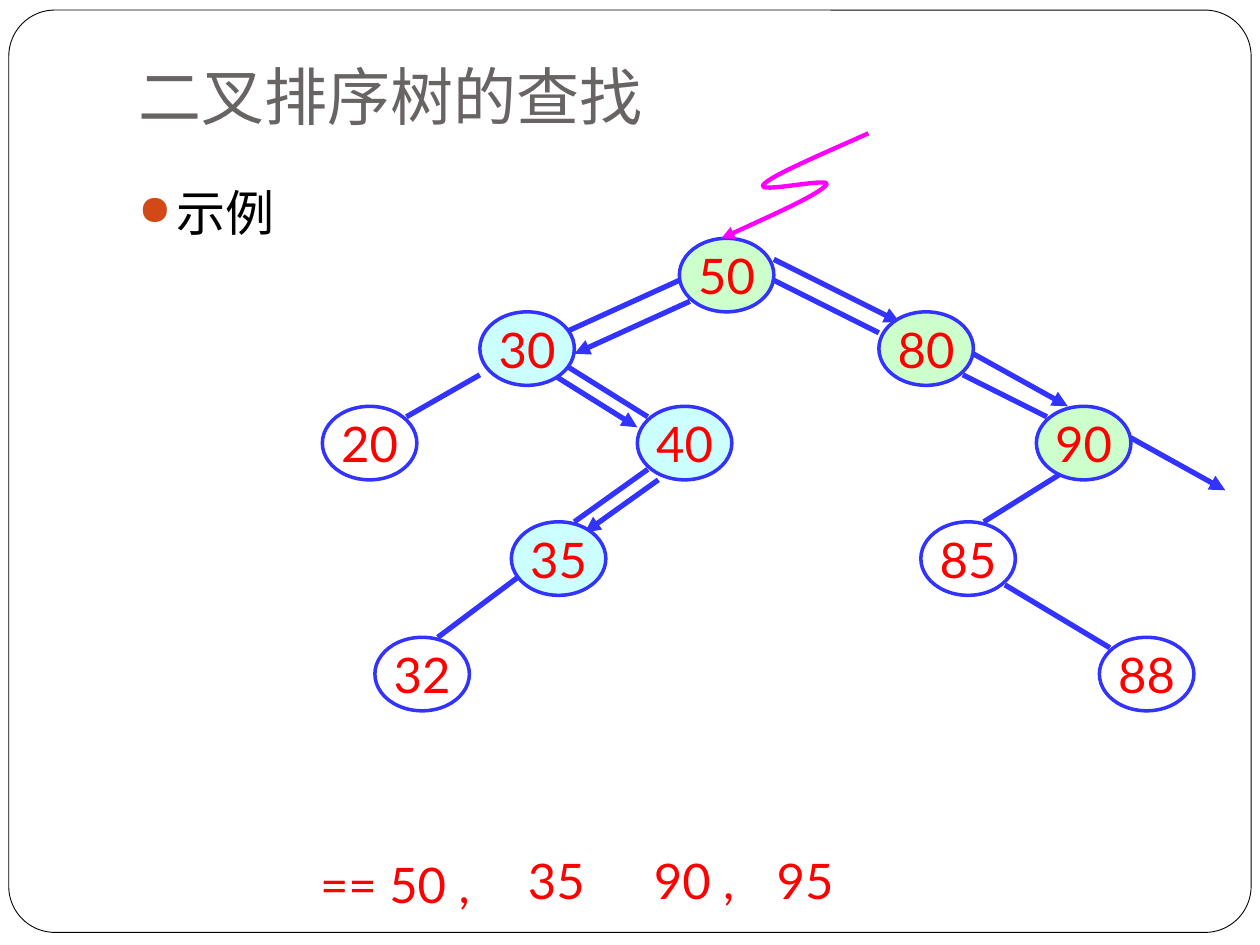
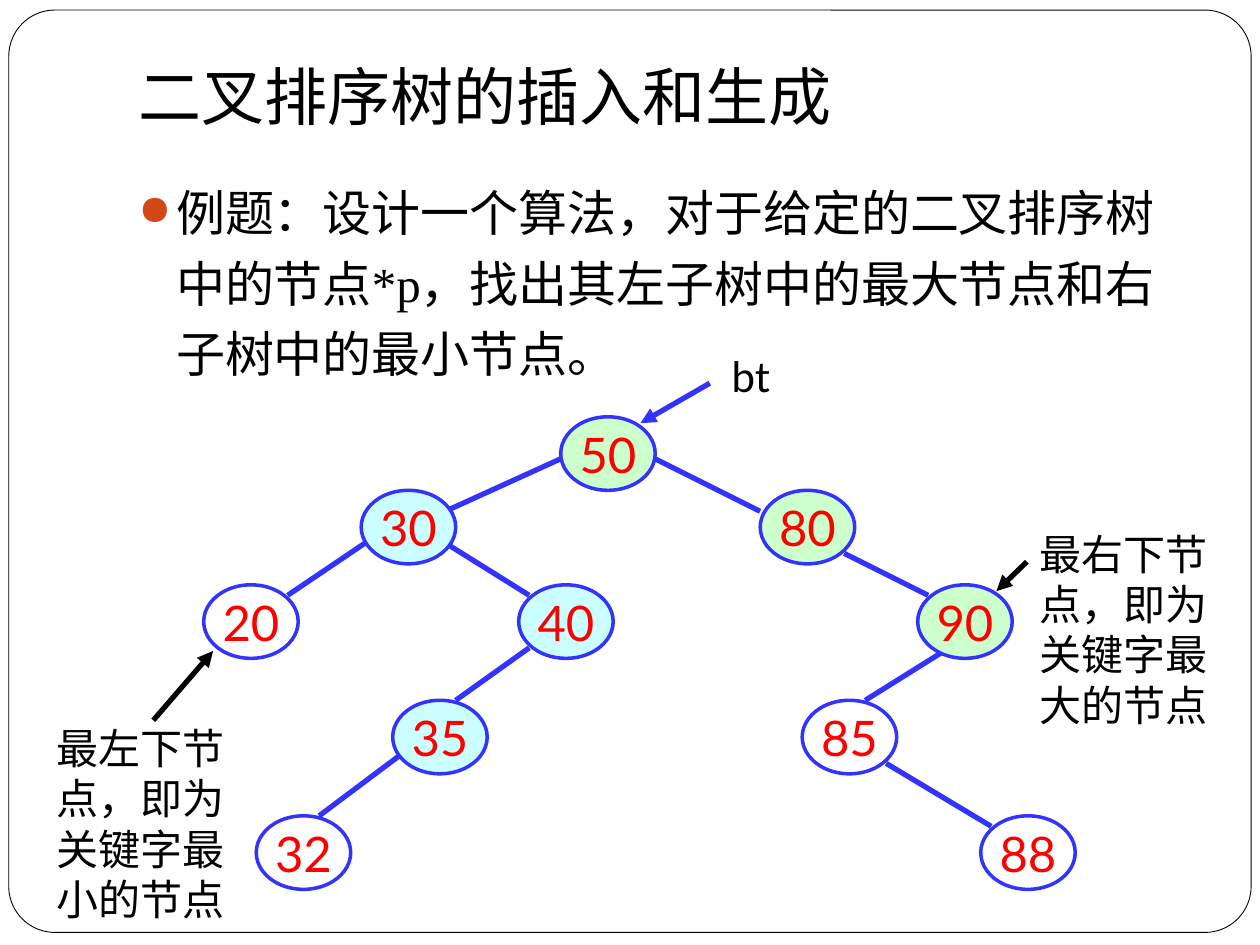
import dataclasses
import typing

import lxml.etree
import pptx
import pptx.dml.color
import pptx.enum.shapes
import pptx.enum.text
import pptx.oxml.ns
import pptx.util

Point = tuple[float, float]
ANCHOR = pptx.enum.text.MSO_ANCHOR
SHAPE = pptx.enum.shapes.MSO_SHAPE


@dataclasses.dataclass(frozen=True)
class Theme:
    """Colours, fonts and sizes of the presentation."""

    white: str = "FFFFFF"
    ink: str = "000000"
    grey: str = "696464"
    bullet: str = "D34817"
    key: str = "FF0000"
    branch: str = "3333FF"
    entry: str = "FF00FF"
    left_path: str = "CCFFFF"
    right_path: str = "CCFFCC"
    title_font: str = "Roboto"
    body_font: str = "Times New Roman"
    label_font: str = "Lato"
    title_size: float = 36
    body_size: float = 28
    note_size: float = 24
    frame_line: float = 0.5
    node_line: float = 2
    entry_line: float = 2.5
    branch_line: float = 3


class Area(typing.NamedTuple):
    """A rectangle in grid columns and rows."""

    column: float
    row: float
    columns: float
    rows: float


@dataclasses.dataclass(frozen=True)
class Node:
    """A tree key, its offset from the root, and its fill."""

    key: str
    column: float
    row: float
    fill: str | None = None


@dataclasses.dataclass(frozen=True)
class Branch:
    """A straight stroke between two grid points."""

    start: Point
    end: Point
    arrow: bool = False
    color: str = Theme.branch


@dataclasses.dataclass(frozen=True)
class Label:
    """A block of text in one font."""

    text: str
    area: Area
    size: float = Theme.body_size
    color: str = Theme.key
    font: str = Theme.label_font
    anchor: typing.Any = ANCHOR.TOP
    bottom_inset: float = 0.05
    bulleted: bool = False


THEME = Theme()
COLUMNS, ROWS = 120, 90
WIDTH, HEIGHT = pptx.util.Inches(10), pptx.util.Inches(7.5)
FRAME = Area(0.84, 0.96, 118.32, 87.84)
TITLE = Area(12, 2.5, 102, 11.4)
BODY = Area(12, 15.7, 102, 64.2)
NODE_COLUMNS, NODE_ROWS = 9, 7
SEARCH_ROOT: Point = (64.7, 22.7)
INSERT_ROOT: Point = (53.4, 39.7)

NODES = [
    Node("50", 0, 0, THEME.right_path),
    Node("30", -19, 7, THEME.left_path),
    Node("80", 19, 7, THEME.right_path),
    Node("20", -34, 16),
    Node("40", -4, 16, THEME.left_path),
    Node("90", 34, 16, THEME.right_path),
    Node("35", -16, 27, THEME.left_path),
    Node("85", 23, 27),
    Node("32", -29, 38),
    Node("88", 40, 38),
]
BRANCHES = [
    Branch((0, 4), (-11, 9)),
    Branch((9, 4), (19, 9)),
    Branch((-11, 12), (-3, 17)),
    Branch((-3, 22), (-10, 27)),
    Branch((27, 13), (35, 17)),
    Branch((37, 22), (29, 27)),
    Branch((31, 33), (41, 39)),
    Branch((-15, 32), (-23, 38)),
]
SEARCH_STEPS = [
    Branch((-19, 13), (-26, 17)),
    Branch((1, 6), (-10, 11), True),
    Branch((-12, 13), (-4, 18), True),
    Branch((-2, 23), (-9, 28), True),
    Branch((9, 2), (21, 8), True),
    Branch((28, 11), (37, 16), True),
    Branch((43, 19), (52, 24), True),
]
INSERT_MARKS = [
    Branch((-18.6, 12), (-26, 17)),
    Branch((14.2, -3.2), (7.6, 0.6), True),
    Branch((-38.8, 28.9), (-33.1, 22.3), True, THEME.ink),
    Branch((44.4, 13.8), (41.5, 16.6), True, THEME.ink),
]
ENTRY_CURVE: list[Point] = [
    (18, -10),
    (13.3, -7.9), (8.6, -5.9), (8, -5.1),
    (7.3, -4.2), (14.6, -5.9), (14, -5.1),
    (13.3, -4.2), (8.6, -2.1), (4, 0),
]
SEARCH_KEYS = [
    Label("== 50 ,", Area(29.3, 80.8, 17, 6.8)),
    Label("35", Area(49.1, 80.4, 10.2, 6.8)),
    Label("90 ,", Area(61.1, 80.4, 10.6, 6.8)),
    Label("95", Area(72.8, 80.4, 8.9, 6.8)),
]
INSERT_NOTES = [
    Label(text, area, THEME.note_size, THEME.ink)
    for text, area in (
        ("bt", Area(68.5, 32.8, 12.2, 6)),
        ("最左下节点，即为关键字最小的节点", Area(4.2, 68.2, 19.8, 20.4)),
        ("最右下节点，即为关键字最大的节点", Area(97.8, 49.7, 19.8, 20.4)),
    )
]


def across(columns: float) -> int:
    """Turn grid columns into a length."""
    return round(WIDTH * columns / COLUMNS)


def down(rows: float) -> int:
    """Turn grid rows into a length."""
    return round(HEIGHT * rows / ROWS)


def box(area: Area) -> tuple[int, int, int, int]:
    """Turn a grid area into left, top, width and height."""
    return across(area.column), down(area.row), across(area.columns), down(area.rows)


def place(root: Point, offset: Point) -> tuple[int, int]:
    """Locate an offset from the root on the slide."""
    return across(root[0] + offset[0]), down(root[1] + offset[1])


def rgb(color: str) -> pptx.dml.color.RGBColor:
    """Read a hexadecimal colour."""
    return pptx.dml.color.RGBColor.from_string(color)


def append(parent: typing.Any, tag: str, **attributes: str) -> typing.Any:
    """Append a drawing element to its parent."""
    return lxml.etree.SubElement(parent, pptx.oxml.ns.qn(tag), **attributes)


def stroke(item: typing.Any, color: str, width: float, arrow: bool = False) -> None:
    """Set a line's colour, width and arrowhead."""
    item.line.color.rgb = rgb(color)
    item.line.width = pptx.util.Pt(width)
    if arrow:
        outline = item._element.spPr.find(pptx.oxml.ns.qn("a:ln"))
        append(outline, "a:tailEnd", type="triangle")


def style_text(paragraph: typing.Any, font: str, size: float, color: str) -> None:
    """Set the font of a paragraph."""
    paragraph.font.name = font
    paragraph.font.size = pptx.util.Pt(size)
    paragraph.font.color.rgb = rgb(color)


def draw_outline(slide: typing.Any, preset: typing.Any, area: Area,
                 fill: str | None, color: str, width: float) -> typing.Any:
    """Draw a preset shape without a shadow."""
    outline = slide.shapes.add_shape(preset, *box(area))
    outline.shadow.inherit = False
    if fill:
        outline.fill.solid()
        outline.fill.fore_color.rgb = rgb(fill)
    else:
        outline.fill.background()
    stroke(outline, color, width)
    return outline


def draw_label(slide: typing.Any, label: Label) -> None:
    """Write a label, with a hanging bullet where asked."""
    frame = slide.shapes.add_textbox(*box(label.area)).text_frame
    frame.word_wrap = True
    frame.vertical_anchor = label.anchor
    frame.margin_bottom = pptx.util.Inches(label.bottom_inset)
    paragraph = frame.paragraphs[0]
    paragraph.text = label.text
    if label.bulleted:
        paragraph.line_spacing = 1.2
        indent = pptx.util.Inches(0.3)
        properties = paragraph._p.get_or_add_pPr()
        properties.set("marL", str(indent))
        properties.set("indent", str(-indent))
        append(append(properties, "a:buClr"), "a:srgbClr", val=THEME.bullet)
        append(properties, "a:buSzPct", val="85000")
        append(properties, "a:buChar", char="●")
    style_text(paragraph, label.font, label.size, label.color)


def draw_branch(slide: typing.Any, root: Point, branch: Branch) -> None:
    """Draw a branch or an arrow of the tree."""
    connector = slide.shapes.add_connector(
        pptx.enum.shapes.MSO_CONNECTOR.STRAIGHT,
        *place(root, branch.start), *place(root, branch.end))
    stroke(connector, branch.color, THEME.branch_line, branch.arrow)
    append(connector._element.spPr, "a:effectLst")


def draw_node(slide: typing.Any, root: Point, node: Node) -> None:
    """Draw a key in its ellipse."""
    area = Area(root[0] + node.column, root[1] + node.row, NODE_COLUMNS, NODE_ROWS)
    ellipse = draw_outline(slide, SHAPE.OVAL, area, node.fill,
                           THEME.branch, THEME.node_line)
    frame = ellipse.text_frame
    frame.word_wrap = False
    frame.vertical_anchor = ANCHOR.MIDDLE
    paragraph = frame.paragraphs[0]
    paragraph.text = node.key
    paragraph.alignment = pptx.enum.text.PP_ALIGN.CENTER
    style_text(paragraph, THEME.label_font, THEME.body_size, THEME.key)


def draw_entry(slide: typing.Any, root: Point) -> None:
    """Draw the curved arrow that enters the tree at its root."""
    start, *controls = [place(root, offset) for offset in ENTRY_CURVE]
    builder = slide.shapes.build_freeform(*start)
    builder.add_line_segments(controls, close=False)
    curve = builder.convert_to_shape()
    curve.shadow.inherit = False
    curve.fill.background()
    stroke(curve, THEME.entry, THEME.entry_line, True)
    segments = list(curve._element.iter(pptx.oxml.ns.qn("a:lnTo")))
    outline = segments[0].getparent()
    for first in range(0, len(segments), 3):
        bezier = append(outline, "a:cubicBezTo")
        for segment in segments[first:first + 3]:
            bezier.append(segment[0])
            outline.remove(segment)


def draw_slide(deck: typing.Any, title: str, title_color: str, body: str,
               root: Point, strokes: list[Branch], labels: list[Label]) -> typing.Any:
    """Add a framed slide with a title, a point and the search tree."""
    slide = deck.slides.add_slide(deck.slide_layouts[6])
    frame = draw_outline(slide, SHAPE.ROUNDED_RECTANGLE, FRAME, THEME.white,
                         THEME.ink, THEME.frame_line)
    frame.adjustments[0] = 0.05
    draw_label(slide, Label(title, TITLE, THEME.title_size, title_color,
                            THEME.title_font, ANCHOR.BOTTOM, 0.1))
    draw_label(slide, Label(body, BODY, THEME.body_size, THEME.ink,
                            THEME.body_font, bulleted=True))
    for branch in BRANCHES + strokes:
        draw_branch(slide, root, branch)
    for node in NODES:
        draw_node(slide, root, node)
    for label in labels:
        draw_label(slide, label)
    return slide


def main() -> None:
    """Build and save the presentation."""
    deck = pptx.Presentation()
    deck.slide_width, deck.slide_height = WIDTH, HEIGHT
    search = draw_slide(deck, "二叉排序树的查找", THEME.grey, "示例",
                        SEARCH_ROOT, SEARCH_STEPS, SEARCH_KEYS)
    draw_entry(search, SEARCH_ROOT)
    draw_slide(deck, "二叉排序树的插入和生成", THEME.ink,
               "例题：设计一个算法，对于给定的二叉排序树中的节点*p，"
               "找出其左子树中的最大节点和右子树中的最小节点。",
               INSERT_ROOT, INSERT_MARKS, INSERT_NOTES)
    deck.save("out.pptx")


if __name__ == "__main__":
    main()
